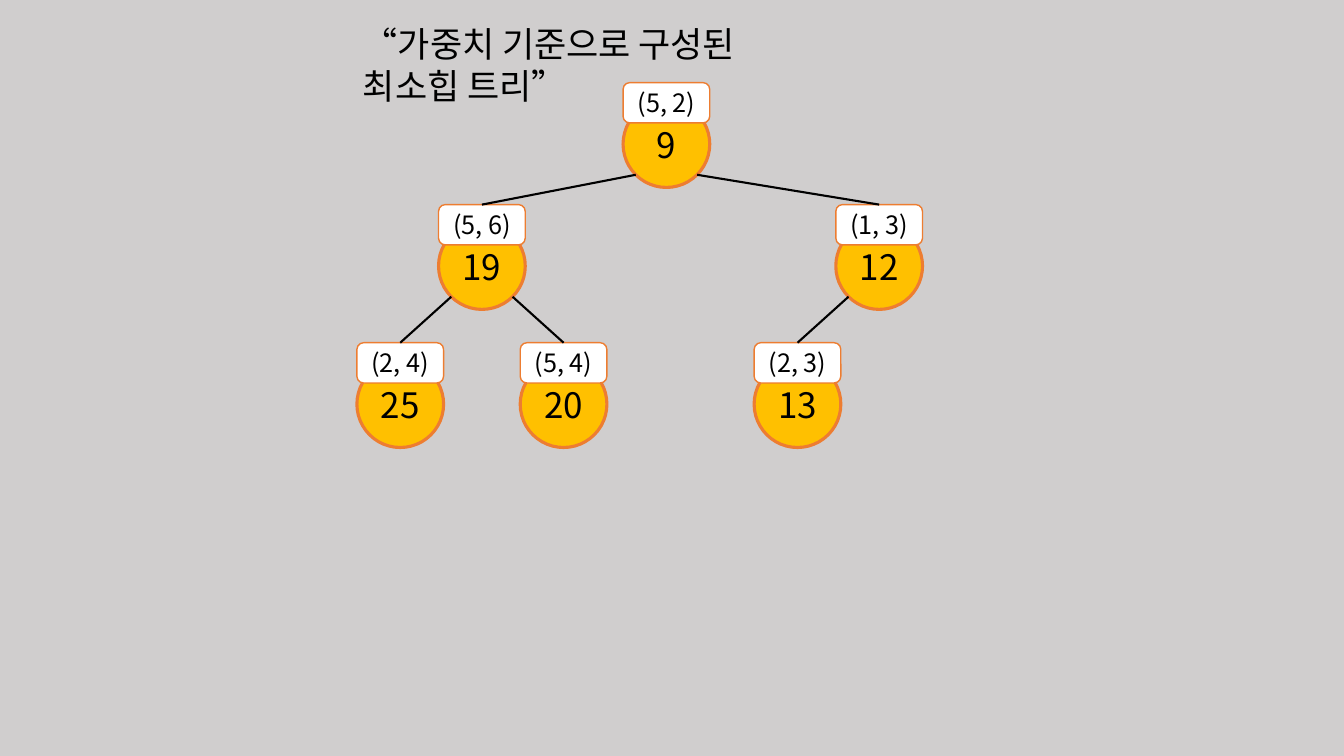
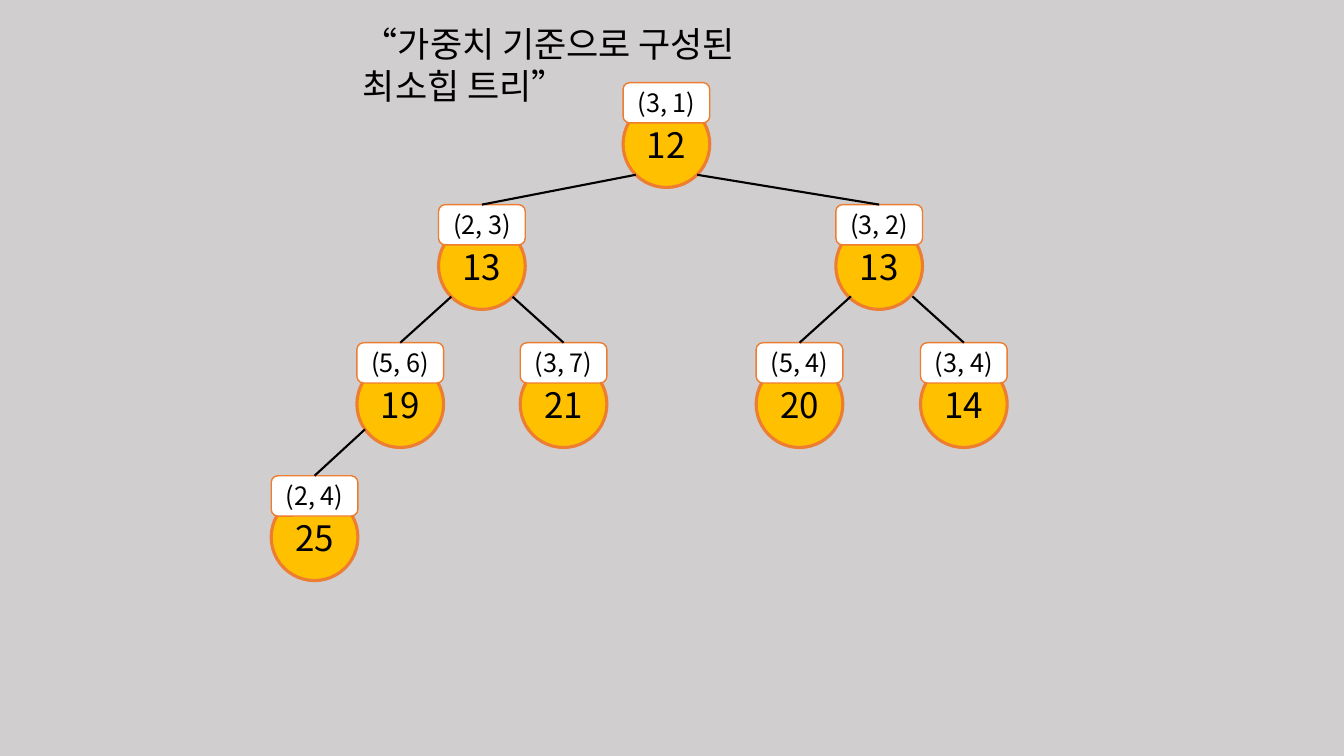
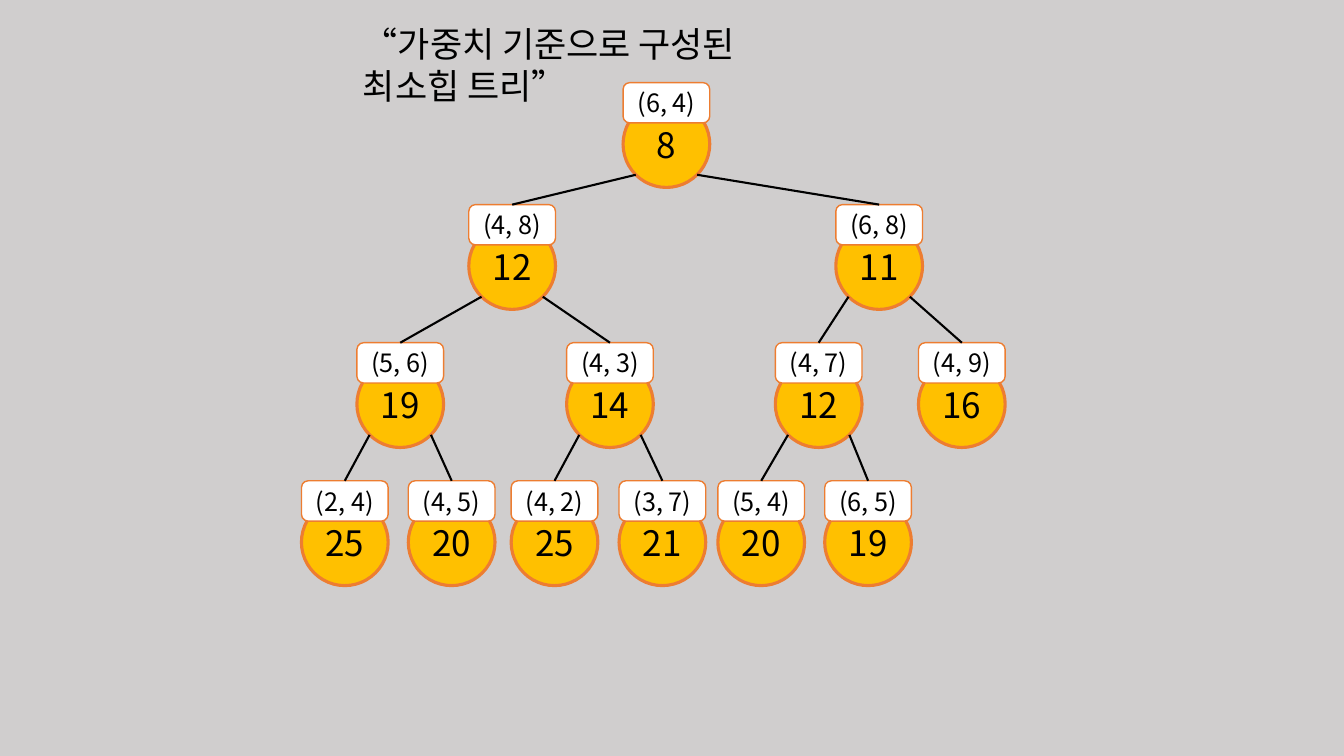
from math import sqrt

from lxml.etree import SubElement
from pptx import Presentation
from pptx.dml.color import RGBColor
from pptx.enum.shapes import MSO_CONNECTOR, MSO_SHAPE
from pptx.enum.text import MSO_ANCHOR, MSO_AUTO_SIZE, PP_ALIGN
from pptx.oxml.ns import qn
from pptx.util import Inches, Pt

# Content: each heap in level order as (edge, weight, left)
TITLE = "“가중치 기준으로 구성된 최소힙 트리”"
HEAPS = [
    {
        "tops": [0.82, 2.03, 3.4],
        "nodes": [
            ("(5, 2)", 9, 6.18),
            ("(5, 6)", 19, 4.35), ("(1, 3)", 12, 8.29),
            ("(2, 4)", 25, 3.54), ("(5, 4)", 20, 5.16), ("(2, 3)", 13, 7.48),
        ],
        "branch_starts": {},
    },
    {
        "tops": [0.82, 2.03, 3.4, 4.72],
        "nodes": [
            ("(3, 1)", 12, 6.18),
            ("(2, 3)", 13, 4.35), ("(3, 2)", 13, 8.29),
            ("(5, 6)", 19, 3.54), ("(3, 7)", 21, 5.16),
            ("(5, 4)", 20, 7.5), ("(3, 4)", 14, 9.13),
            ("(2, 4)", 25, 2.69),
        ],
        # Branches that leave the circle off its diagonal
        "branch_starts": {5: (8.44, 2.94), 6: (9.05, 2.94), 7: (3.62, 4.26)},
    },
    {
        "tops": [0.82, 2.03, 3.4, 4.77],
        "nodes": [
            ("(6, 4)", 8, 6.18),
            ("(4, 8)", 12, 4.65), ("(6, 8)", 11, 8.29),
            ("(5, 6)", 19, 3.54), ("(4, 3)", 14, 5.62),
            ("(4, 7)", 12, 7.69), ("(4, 9)", 16, 9.11),
            ("(2, 4)", 25, 2.99), ("(4, 5)", 20, 4.05),
            ("(4, 2)", 25, 5.07), ("(3, 7)", 21, 6.14),
            ("(5, 4)", 20, 7.12), ("(6, 5)", 19, 8.18),
        ],
        "branch_starts": {},
    },
]

# Shared style
GRAY = RGBColor(0xD0, 0xCE, 0xCE)
AMBER = RGBColor(0xFF, 0xC0, 0x00)
ORANGE = RGBColor(0xED, 0x7D, 0x31)
WHITE = RGBColor(0xFF, 0xFF, 0xFF)
BLACK = RGBColor(0x00, 0x00, 0x00)
FONT = "Noto Sans CJK KR"
DIAMETER = 0.86
LABEL_HEIGHT = 0.4
CIRCLE_DROP = 0.18  # from the label's top to the circle's top
TITLE_FRAME = {
    "word_wrap": True,
    "auto_size": MSO_AUTO_SIZE.NONE,
    "vertical_anchor": MSO_ANCHOR.TOP,
}
NODE_FRAME = {"word_wrap": True, "vertical_anchor": MSO_ANCHOR.MIDDLE}
CIRCLE = {"kind": MSO_SHAPE.OVAL, "fill": AMBER, "line": 2.25, "size": 25}
LABEL = {"kind": MSO_SHAPE.ROUNDED_RECTANGLE, "fill": WHITE, "line": 1, "size": 18}


def write(shape, text, size, align, frame_format):
    frame = shape.text_frame
    for name, value in frame_format.items():
        setattr(frame, name, value)
    paragraph = frame.paragraphs[0]
    paragraph.alignment = align
    paragraph.line_spacing = 1.0
    run = paragraph.add_run()
    run.text = text
    for name, value in {"name": FONT, "size": Pt(size), "bold": False}.items():
        setattr(run.font, name, value)
    run.font.color.rgb = BLACK
    SubElement(run.font._rPr, qn("a:ea"), typeface=FONT)


def add_part(node, style, text, left, top, height):
    part = node.shapes.add_shape(
        style["kind"], Inches(left), Inches(top), Inches(DIAMETER), Inches(height))
    part.shadow.inherit = False
    part.fill.solid()
    part.fill.fore_color.rgb = style["fill"]
    part.line.color.rgb = ORANGE
    part.line.width = Pt(style["line"])
    write(part, text, style["size"], PP_ALIGN.CENTER, NODE_FRAME)
    return part


def add_branch(slide, start, child_label):
    x, y = (Inches(value) for value in start)
    branch = slide.shapes.add_connector(MSO_CONNECTOR.STRAIGHT, x, y, x, y)
    branch.end_connect(child_label, 0)
    branch.line.color.rgb = BLACK
    branch.line.width = Pt(1.5)
    SubElement(branch._element.spPr, qn("a:effectLst"))


def draw_heap(slide, heap):
    # Nodes: a circle with its label on top
    placed = []
    for index, (edge, weight, left) in enumerate(heap["nodes"]):
        top = heap["tops"][(index + 1).bit_length() - 1]
        node = slide.shapes.add_group_shape()
        add_part(node, CIRCLE, str(weight), left, top + CIRCLE_DROP, DIAMETER)
        label = add_part(node, LABEL, edge, left, top, LABEL_HEIGHT)
        placed.append((left, top, label))

    # Branches: from the parent's lower diagonal to the child's label
    radius = DIAMETER / 2
    reach = radius / sqrt(2)
    for index in range(1, len(placed)):
        left, top, _ = placed[(index - 1) // 2]
        side = -1 if index % 2 else 1
        diagonal = (left + radius + side * reach, top + CIRCLE_DROP + radius + reach)
        add_branch(slide, heap["branch_starts"].get(index, diagonal), placed[index][2])


def main():
    deck = Presentation()
    deck.slide_width, deck.slide_height = Inches(13.33), Inches(7.5)
    background = deck.slide_master.background.fill
    background.solid()
    background.fore_color.rgb = GRAY
    title_box = {"left": 3.5, "top": 0.17, "width": 4.76, "height": 0.52}

    for heap in HEAPS:
        slide = deck.slides.add_slide(deck.slide_layouts[5])
        title = slide.shapes.title
        for name, value in title_box.items():
            setattr(title, name, Inches(value))
        write(title, TITLE, 25, PP_ALIGN.LEFT, TITLE_FRAME)
        draw_heap(slide, heap)
    deck.save("out.pptx")


if __name__ == "__main__":
    main()
